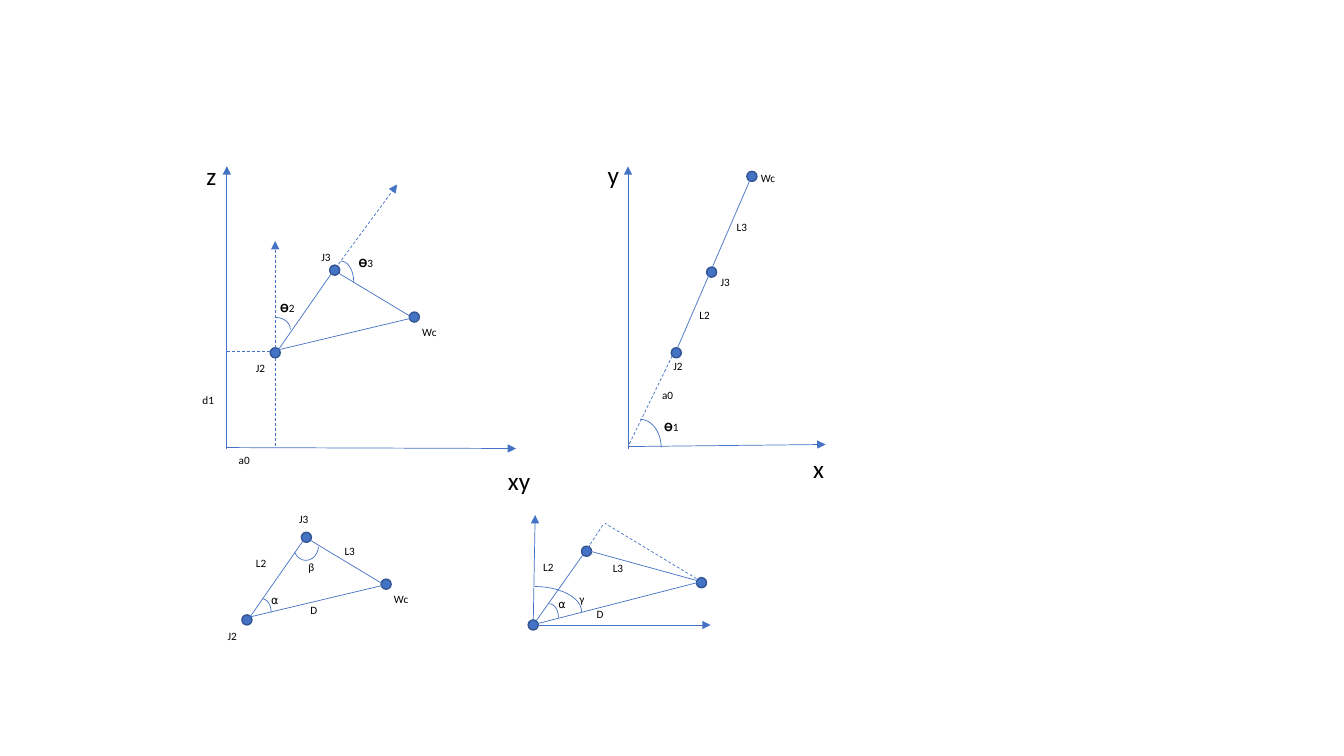
from lxml.etree import SubElement
from pptx import Presentation
from pptx.dml.color import RGBColor
from pptx.enum.dml import MSO_LINE as Dash
from pptx.enum.shapes import MSO_CONNECTOR as Connector, MSO_SHAPE as Shape
from pptx.enum.text import MSO_AUTO_SIZE as AutoSize
from pptx.oxml.ns import qn
from pptx.util import Pt

BLUE = RGBColor(0x44, 0x72, 0xC4)
RIM = RGBColor(0x32, 0x54, 0x91)
BLACK = RGBColor(0, 0, 0)
FONT = "Calibri"
THETA = "\U0001D6B9"
ALPHA = "\u237A"
DOT = 7.2
WIDTHS = {"Wc": 36.7, "x": 35.3, "xy": 35.3, "y": 21.6, "z": 21.6,
          ALPHA: 20.2, "β": 20.2, "γ": 20.2}


def add_line(page, box, start, end, dashed=False, arrow=False):
    """Draw a thin line between two points of the box."""
    left, top = box
    line = page.shapes.add_connector(
        Connector.STRAIGHT, Pt(left + start[0]), Pt(top + start[1]),
        Pt(left + end[0]), Pt(top + end[1]))
    line.line.color.rgb = BLUE
    line.line.width = Pt(0.5)
    if dashed:
        line.line.dash_style = Dash.DASH
    if arrow:
        SubElement(line.line._get_or_add_ln(), qn("a:tailEnd"), type="triangle")
    SubElement(line._element.spPr, qn("a:effectLst"))


def add_dots(page, box, spots):
    """Draw a joint dot at each spot of the box."""
    for x, y in spots:
        dot = page.shapes.add_shape(
            Shape.OVAL, Pt(box[0] + x), Pt(box[1] + y), Pt(DOT), Pt(DOT))
        dot.shadow.inherit = False
        dot.fill.solid()
        dot.fill.fore_color.rgb = BLUE
        dot.line.color.rgb = RIM
        dot.line.width = Pt(1)


def add_arc(page, box, x, y, width, height, angles=None):
    """Draw an angle mark, a quarter turn unless angles are given."""
    arc = page.shapes.add_shape(
        Shape.ARC, Pt(box[0] + x), Pt(box[1] + y), Pt(width), Pt(height))
    arc.shadow.inherit = False
    arc.fill.background()
    arc.line.color.rgb = BLUE
    arc.line.width = Pt(0.5)
    for index, angle in enumerate(angles or ()):
        arc.adjustments[index] = angle


def add_labels(page, box, labels, size=8):
    """Write each label at its place in the box."""
    for text, x, y in labels:
        width = WIDTHS.get(text, 33 if THETA in text else 24)
        label = page.shapes.add_textbox(
            Pt(box[0] + x), Pt(box[1] + y), Pt(width), Pt(29 if size > 8 else 17))
        frame = label.text_frame
        frame.word_wrap = True
        frame.auto_size = AutoSize.SHAPE_TO_FIT_TEXT
        para = frame.paragraphs[0]
        para.text = text
        para.font.name = FONT
        para.font.size = Pt(size)
        para.font.color.rgb = BLACK


def add_arm(page, box):
    """Draw the triangle of joints J2, J3 and Wc."""
    add_dots(page, box, [(0, 59), (42.5, 0), (99.4, 33.5)])
    add_line(page, box, (5.8, 60.5), (43.9, 5.8))
    add_line(page, box, (49, 5.8), (105.1, 39.6))
    add_line(page, box, (5.8, 60.5), (105.8, 36.7))


def draw_side_view(page, box):
    """Draw the arm in the plane of xy and z."""
    add_line(page, box, (25.2, 212.4), (25.2, 10.8), arrow=True)
    add_line(page, box, (25.2, 211.7), (231.8, 212.4), arrow=True)
    add_labels(page, box, [("xy", 218.9, 221), ("z", 3.6, 2.9)], 18)
    add_arm(page, (box[0] + 56.2, box[1] + 81.4))
    add_line(page, box, (59.8, 143.3), (25.2, 143.3), dashed=True)
    add_line(page, box, (59.8, 140.4), (59.8, 211.7), dashed=True)
    add_line(page, box, (59.8, 140.4), (59.8, 64.1), dashed=True, arrow=True)
    add_line(page, box, (100.8, 86.4), (146.9, 23.8), dashed=True, arrow=True)
    add_arc(page, box, 50.4, 118.8, 20.2, 17.3)
    add_arc(page, box, 97.9, 78.5, 18, 30.2)
    add_labels(page, box, [
        ("J2", 38.9, 146.9), ("J3", 85.7, 67), ("Wc", 157.7, 121),
        ("d1", 0.7, 169.2), ("a0", 26.6, 212.4),
        (THETA + "2", 56.2, 103.7), (THETA + "3", 112.3, 71.3)])


def draw_top_view(page, box):
    """Draw the arm in the plane of x and y."""
    add_line(page, box, (23.8, 212.4), (23.8, 10.8), arrow=True)
    add_line(page, box, (23.8, 211), (164.9, 209.5), arrow=True)
    add_labels(page, box, [("x", 149, 212.4), ("y", 2.2, 2.2)], 18)
    add_dots(page, box, [(54.7, 140.4), (79.9, 82.8), (108.7, 14.4)])
    add_line(page, box, (57.6, 144), (113, 15.8))
    add_line(page, box, (55.4, 146.2), (23.8, 211), dashed=True)
    add_arc(page, box, 17.3, 191.5, 30.2, 40.3)
    add_labels(page, box, [
        ("L2", 67.7, 108.7), ("L3", 94.3, 46.1), ("J3", 82.8, 85),
        ("Wc", 111.6, 10.8), ("J2", 49, 145.4), ("a0", 41, 165.6),
        (THETA + "1", 42.5, 188.6)])


def draw_inner_angles(page, box):
    """Draw the arm triangle with its sides and inner angles."""
    add_arm(page, (box[0] + 21.6, box[1] + 20.2))
    add_arc(page, box, 58.3, 19.4, 18, 20.9, (3.14, 88.86))
    add_arc(page, box, 29.5, 67.7, 13, 19.4)
    add_labels(page, box, [
        ("L2", 24.5, 33.8), ("L3", 87.8, 25.2), ("D", 63.4, 67.7),
        ("J2", 4.3, 85.7), ("J3", 55.4, 2.2), ("Wc", 123.1, 59.8),
        (ALPHA, 35.3, 60.5), ("β", 61.9, 36.7)])


def draw_base_angles(page, box):
    """Draw the arm triangle on axes with the angles at its base."""
    add_dots(page, box, [(31.7, 82.8), (69.8, 30.2), (151.9, 52.6)])
    add_line(page, box, (37.4, 83.5), (75.6, 29.5))
    add_line(page, box, (76.3, 33.8), (154.8, 55.4))
    add_line(page, box, (34.6, 86.4), (155.5, 55.4))
    add_line(page, box, (85, 15.1), (72.7, 33.8), dashed=True)
    add_line(page, box, (151.9, 53.3), (86.4, 13.7), dashed=True)
    add_line(page, box, (35.3, 85), (36.7, 7.9), arrow=True)
    add_line(page, box, (38.9, 86.4), (162, 86.4), arrow=True)
    add_arc(page, box, 40.3, 71.3, 13, 19.4)
    add_arc(page, box, 2.9, 59, 67, 36)
    add_labels(page, box, [
        ("L2", 35.3, 36.7), ("L3", 85, 37.4), ("D", 73.4, 70.6),
        (ALPHA, 46.1, 63.4), ("γ", 61.2, 59.8)])


def main():
    """Build the slide and save the deck."""
    deck = Presentation()
    deck.slide_width, deck.slide_height = Pt(960), Pt(540)
    page = deck.slides.add_slide(deck.slide_layouts[6])
    draw_top_view(page, (424.8, 108))
    draw_side_view(page, (136.8, 108))
    draw_inner_angles(page, (151.2, 360))
    draw_base_angles(page, (345.6, 360))
    deck.save("out.pptx")


main()
